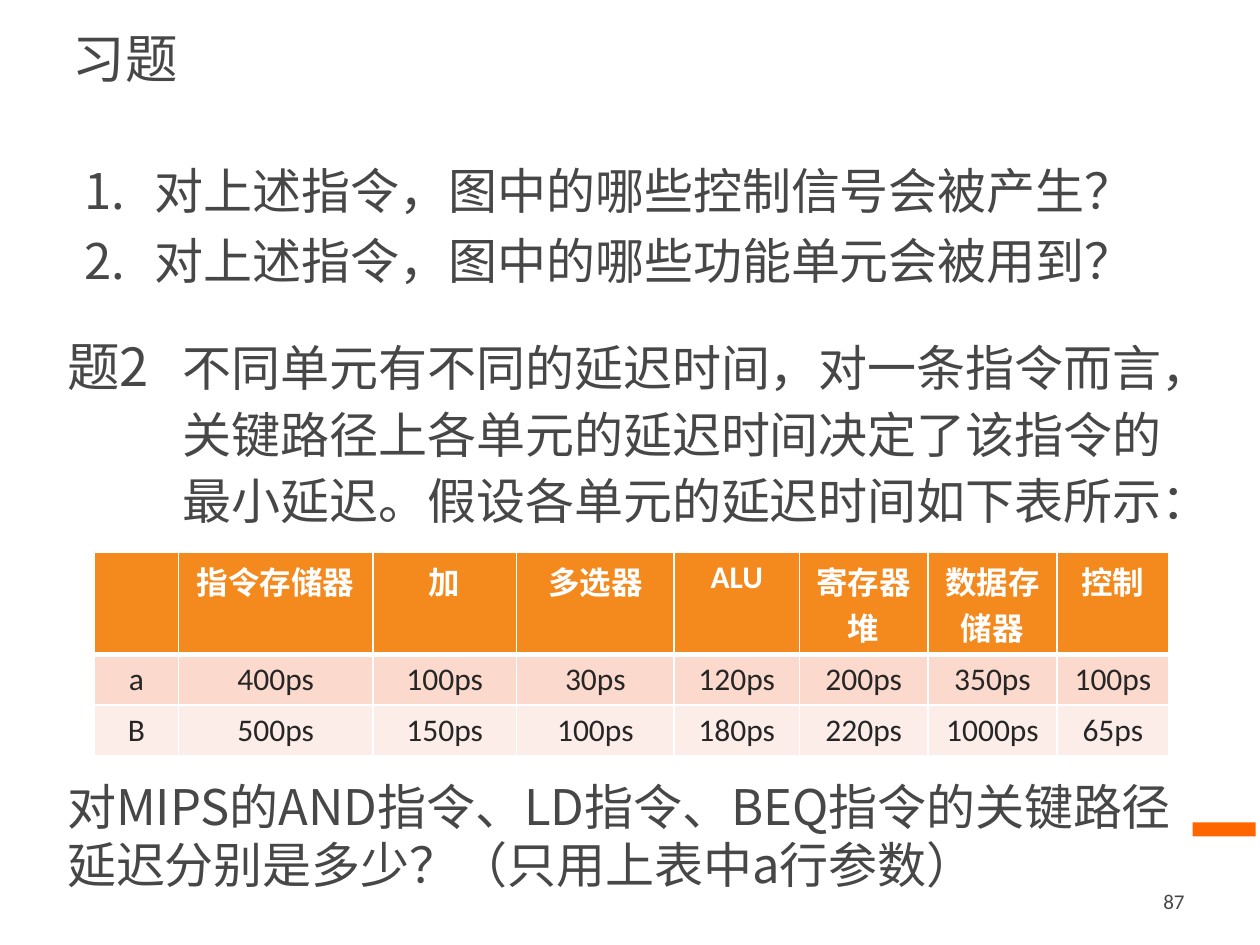
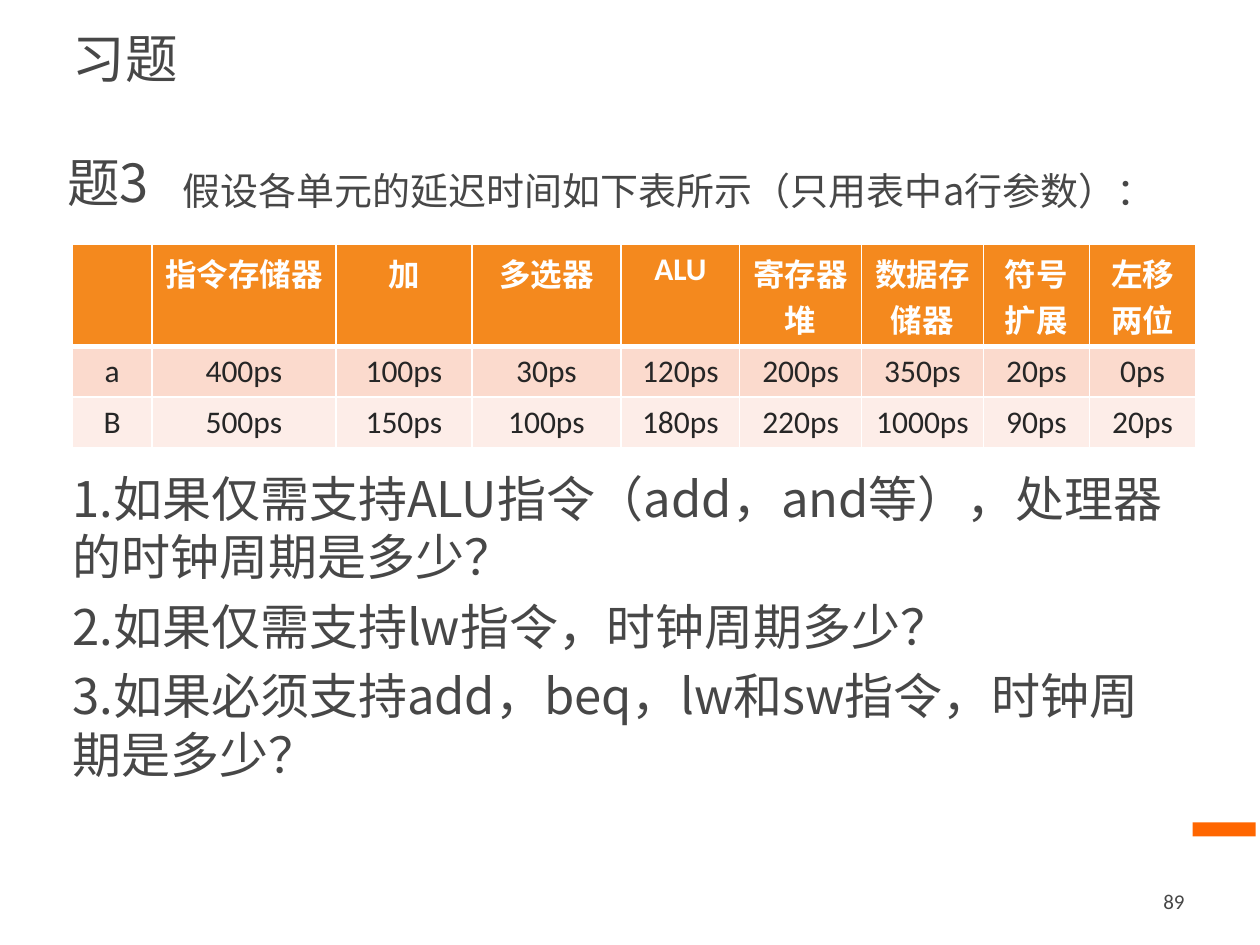
import pptx
import pptx.util
import pptx.dml.color
import pptx.enum.shapes
import pptx.enum.text
import pptx.oxml
import pptx.oxml.ns
import lxml.etree

Pt = pptx.util.Pt
ALIGN = pptx.enum.text.PP_ALIGN
ANCHOR = pptx.enum.text.MSO_ANCHOR
qn = pptx.oxml.ns.qn

COLORS = {"text": "474747", "cell": "262626", "white": "FFFFFF", "accent": "FF6600",
          "head": "F4891E", "row_a": "FBDACD", "row_b": "FDEDE8"}
LATIN, CJK = "Calibri", "Noto Sans CJK SC"
UNITS = ["", "指令存储器", "加", "多选器", "ALU", "寄存器堆", "数据存储器"]
DELAYS_A = ["a", "400ps", "100ps", "30ps", "120ps", "200ps", "350ps"]
DELAYS_B = ["B", "500ps", "150ps", "100ps", "180ps", "220ps", "1000ps"]
UNIT_WIDTHS = [48, 111, 82, 90, 71.5, 73.5, 73.5]
LAST_WIDTH = 64
ROW_HEIGHTS = [58.5, 29, 29]
BODY_LINE = 33.6


def rgb(name):
    """Return the named colour as an RGBColor."""
    return pptx.dml.color.RGBColor.from_string(COLORS[name])


def write(tf, text, size=28, font=CJK, color="text", bold=False, align=ALIGN.LEFT,
          anchor=ANCHOR.TOP, line=None, numbered=False):
    """Fill a text frame with one paragraph per line of text."""
    tf.word_wrap = True
    tf.vertical_anchor = anchor
    for i, words in enumerate(text.split("\n")):
        p = tf.paragraphs[0] if i == 0 else tf.add_paragraph()
        p.alignment = align
        p.space_before = Pt(6 if i else 0)
        if line:
            p.line_spacing = Pt(line)
        if numbered:
            pPr = p._p.get_or_add_pPr()
            pPr.set("marL", str(Pt(40.5)))
            pPr.set("indent", str(Pt(-40.5)))
            lxml.etree.SubElement(pPr, qn("a:buFont"), typeface="+mj-lt")
            lxml.etree.SubElement(pPr, qn("a:buAutoNum"), type="arabicPeriod")
        r = p.add_run()
        r.text = words
        r.font.size, r.font.name, r.font.bold = Pt(size), font, bold
        r.font.color.rgb = rgb(color)
        if font == CJK:
            lxml.etree.SubElement(r._r.get_or_add_rPr(), qn("a:ea"), typeface=font)


def add_text(slide, text, left, top, width, height, **fmt):
    """Add a text box and write formatted text in it."""
    sp = slide.shapes.add_textbox(Pt(left), Pt(top), Pt(width), Pt(height))
    write(sp.text_frame, text, **fmt)


def add_borders(cell, bottom):
    """Draw white borders around a cell, with the given bottom width."""
    tcPr = cell._tc.get_or_add_tcPr()
    for i, (side, width) in enumerate((("L", 1), ("R", 1), ("T", 1), ("B", bottom))):
        ln = pptx.oxml.parse_xml(
            f'<a:ln{side} xmlns:a="http://schemas.openxmlformats.org/drawingml/2006/main" '
            f'w="{Pt(width)}"><a:solidFill><a:srgbClr val="{COLORS["white"]}"/>'
            f'</a:solidFill></a:ln{side}>')
        tcPr.insert(i, ln)


def add_delay_table(slide, left, top, width, extra):
    """Add the unit delay table; extra holds the columns after the common ones."""
    rows = [base + [column[i] for column in extra]
            for i, base in enumerate((UNITS, DELAYS_A, DELAYS_B))]
    widths = UNIT_WIDTHS + [LAST_WIDTH] * len(extra)
    scale = width / sum(widths)
    table = slide.shapes.add_table(len(rows), len(widths), Pt(left), Pt(top),
                                   Pt(width), Pt(sum(ROW_HEIGHTS))).table
    for column, w in zip(table.columns, widths):
        column.width = Pt(w * scale)
    for i, (values, height, fill) in enumerate(
            zip(rows, ROW_HEIGHTS, ("head", "row_a", "row_b"))):
        table.rows[i].height = Pt(height)
        for j, value in enumerate(values):
            cell = table.cell(i, j)
            cell.fill.solid()
            cell.fill.fore_color.rgb = rgb(fill)
            add_borders(cell, 1 if i else 3)
            if value:
                write(cell.text_frame, value, size=18, font=LATIN, bold=i == 0,
                      color="cell" if i else "white", align=ALIGN.CENTER)


def add_question(slide, label, text, top, height, size):
    """Add a question label and the indented statement beside it."""
    add_text(slide, label, 31.3, top, 93, 54, size=30, anchor=ANCHOR.MIDDLE)
    add_text(slide, text, 97.4, top + 3, 592, height, size=size, line=38)


def add_exercise_slide(prs, number):
    """Add a slide with the title, accent band and page number."""
    slide = prs.slides.add_slide(prs.slide_layouts[5])
    title = slide.shapes.title
    title.left, title.top, title.width, title.height = Pt(34.5), Pt(6), Pt(661.5), Pt(54)
    write(title.text_frame, "习题", size=30, font=LATIN, anchor=ANCHOR.MIDDLE)
    band = slide.shapes.add_shape(pptx.enum.shapes.MSO_SHAPE.RECTANGLE,
                                  Pt(681.6), Pt(470), Pt(36), Pt(8))
    band.shadow.inherit = False
    band.fill.solid()
    band.fill.fore_color.rgb = rgb("accent")
    band.line.fill.background()
    add_text(slide, number, 516, 500.5, 168, 29, size=12, font=LATIN,
             align=ALIGN.RIGHT, anchor=ANCHOR.MIDDLE)
    return slide


def main():
    """Build both exercise slides and save the presentation."""
    prs = pptx.Presentation()
    prs.slide_width, prs.slide_height = Pt(720), Pt(540)

    slide = add_exercise_slide(prs, "87")
    add_text(slide, "对上述指令，图中的哪些控制信号会被产生？\n"
             "对上述指令，图中的哪些功能单元会被用到？",
             41, 88.5, 648, 102, line=BODY_LINE, numbered=True)
    add_question(slide, "题2", "不同单元有不同的延迟时间，对一条指令而言，"
                 "关键路径上各单元的延迟时间决定了该指令的最小延迟。"
                 "假设各单元的延迟时间如下表所示：", 182, 130, 28)
    add_delay_table(slide, 54, 315.5, 614, [("控制", "100ps", "65ps")])
    add_text(slide, "对MIPS的AND指令、LD指令、BEQ指令的关键路径延迟分别是多少？"
             "（只用上表中a行参数）", 31.3, 440, 648, 102, line=BODY_LINE)

    slide = add_exercise_slide(prs, "89")
    add_question(slide, "题3", "假设各单元的延迟时间如下表所示（只用表中a行参数）：", 77, 51, 21.7)
    add_delay_table(slide, 41.3, 139.5, 642,
                    [("符号扩展", "20ps", "90ps"), ("左移两位", "0ps", "20ps")])
    add_text(slide, "1.如果仅需支持ALU指令（add，and等），处理器的时钟周期是多少？\n"
             "2.如果仅需支持lw指令，时钟周期多少？\n"
             "3.如果必须支持add，beq，lw和sw指令，时钟周期是多少？",
             34.5, 264, 648, 199, line=BODY_LINE)

    prs.save("out.pptx")


if __name__ == "__main__":
    main()
